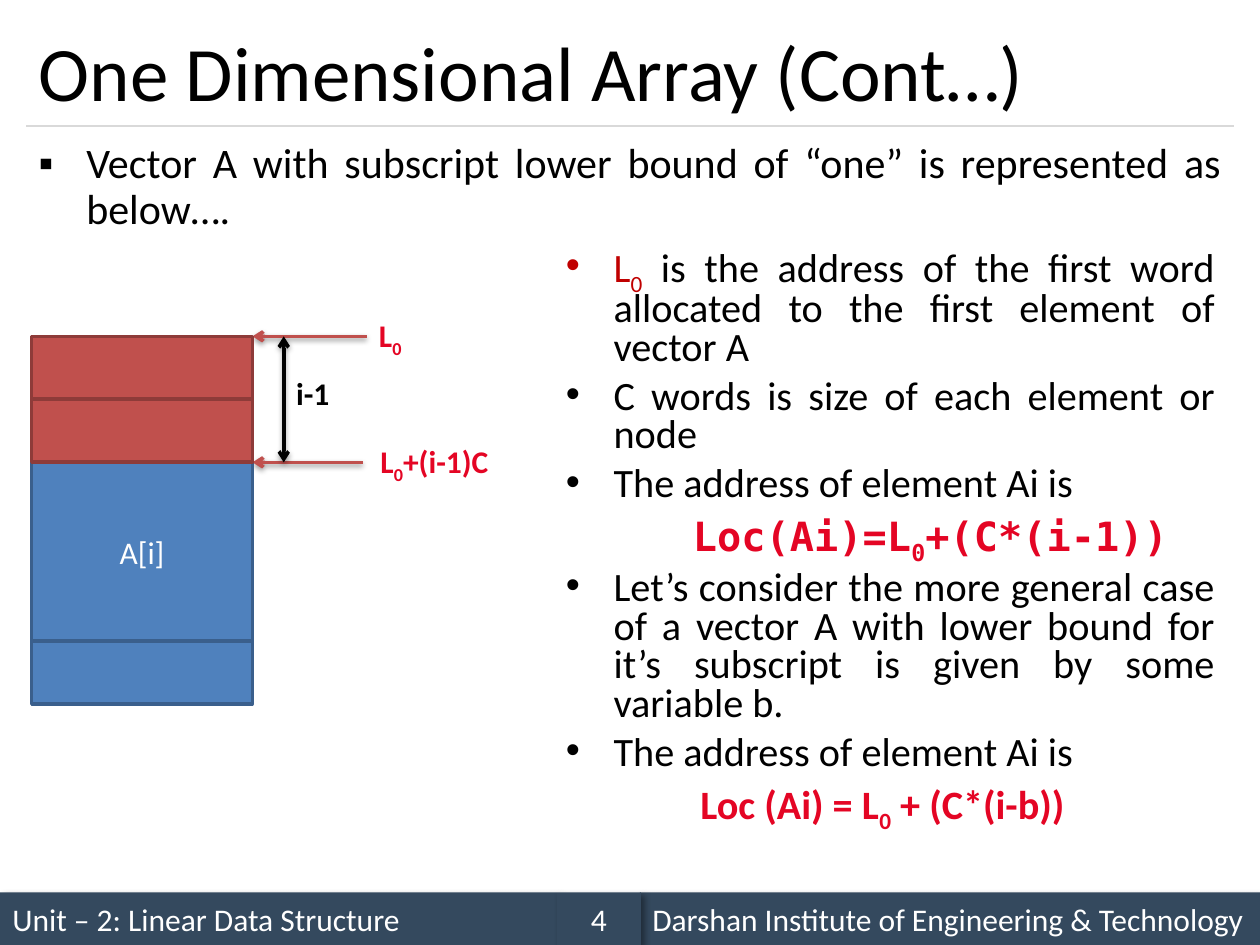
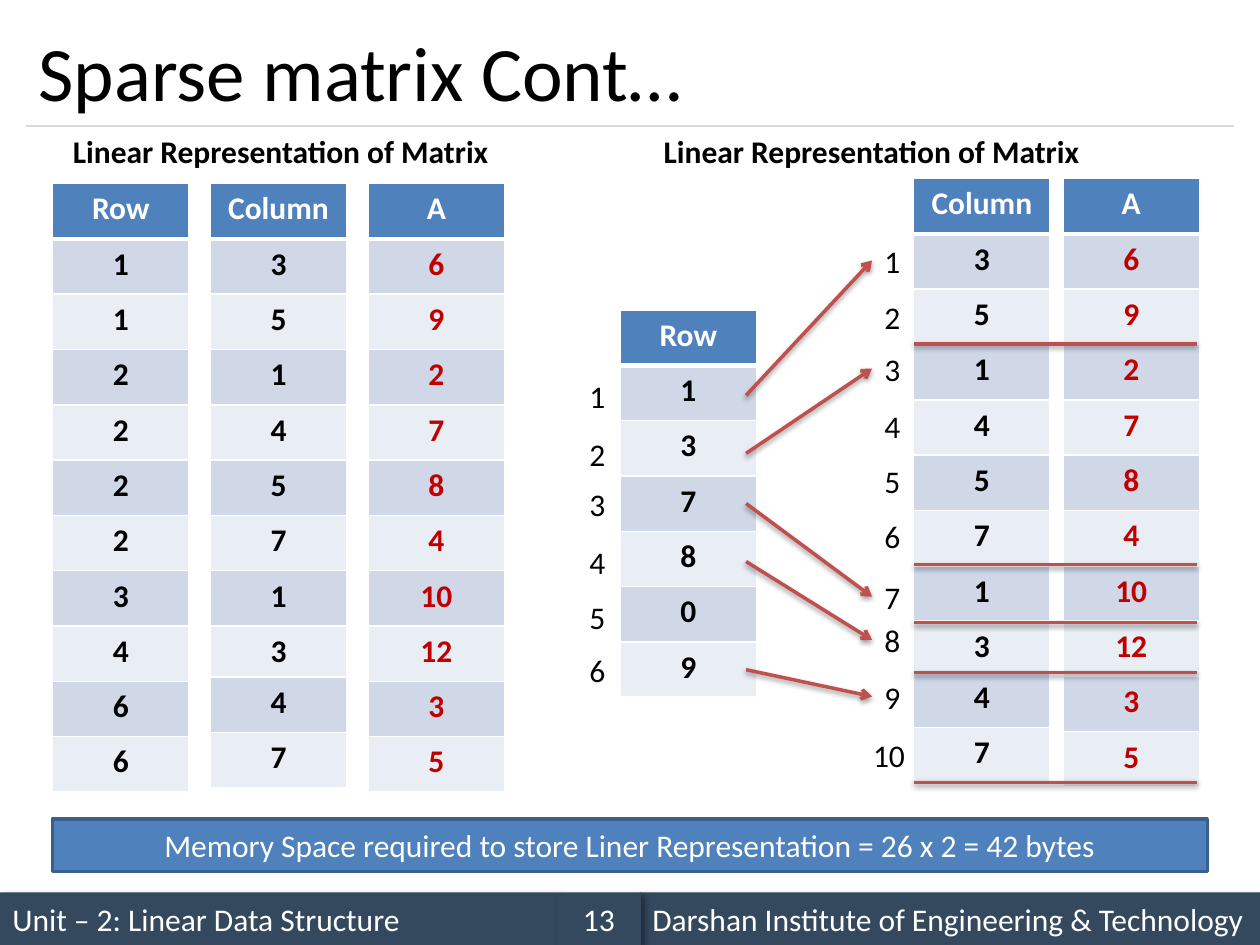
from itertools import accumulate

from lxml.etree import SubElement
from pptx import Presentation
from pptx.dml.color import RGBColor
from pptx.enum.shapes import MSO_CONNECTOR as Connector, MSO_SHAPE as Preset
from pptx.enum.text import MSO_ANCHOR as Anchor, PP_ALIGN as Align
from pptx.oxml.ns import qn
from pptx.util import Cm, Pt

# Content
UNIT = "Unit – 2: Linear Data Structure"
INSTITUTE = "Darshan Institute of Engineering & Technology"

ARRAY_TITLE = "One Dimensional Array (Cont…)"
ARRAY_INTRO = "Vector A with subscript lower bound of “one” is represented as below…."
FORMULA = dict(bullet=None, hang=0, color="formula", bold=True)
# An underscore makes the next character a subscript
ARRAY_NOTES = [
    (" is the address of the first word allocated to the first element of vector A",
     dict(lead="L_0", lead_color="dark red")),
    ("C words is size of each element or node", {}),
    ("The address of element Ai is", {}),
    ("Loc(Ai)=L_0+(C*(i-1))", dict(FORMULA, left=3.56, font="DejaVu Sans Mono")),
    ("Let’s consider the more general case of a vector A with lower bound for "
     "it’s subscript is given by some variable b.", {}),
    ("The address of element Ai is", {}),
    ("Loc (Ai) = L_0 + (C*(i-b))", dict(FORMULA, left=3.71)),
]
MEMORY_BLOCKS = [  # text, height, fill, outline
    ("", 1.27, "red", "red edge"),
    ("", 1.27, "red", "red edge"),
    ("A[i]", 3.6, "blue", "blue edge"),
    ("", 1.27, "blue", "blue edge"),
]

SPARSE_TITLE = "Sparse matrix Cont…"
SPARSE_HEADING = "Linear Representation of Matrix"
MEMORY_NOTE = "Memory Space required to store Liner Representation = 26 x 2 = 42 bytes"
ENTRIES = [  # row, column, value
    (1, 3, 6), (1, 5, 9), (2, 1, 2), (2, 4, 7), (2, 5, 8),
    (2, 7, 4), (3, 1, 10), (4, 3, 12), (6, 4, 3), (6, 7, 5),
]
ROW_STARTS = [1, 3, 7, 8, 0, 9]  # first entry of each row, 0 for an empty row
ROW_LABEL_TOPS = [7.47, 8.64, 9.65, 10.82, 11.94, 13]
ENTRY_LABEL_TOPS = [4.75, 5.89, 6.93, 8.08, 9.19, 10.29, 11.53, 12.4, 13.54, 14.71]
ROW_END_LINES = [6.93, 11.38, 12.55, 13.56, 15.77]

# Look
COLORS = {
    "black": "000000", "white": "FFFFFF", "band": "34495E", "rule": "D9D9D9",
    "blue": "4F81BD", "blue edge": "3A5F8C", "red": "C0504D", "red edge": "8E3B39",
    "dark red": "C00000", "formula": "E40524",
    "odd row": "D0D8E8", "even row": "E9EDF4",
}
TEXT = dict(size=18, color="black", bold=False, font="Calibri", align=Align.LEFT,
            spacing=1, before=0, bullet=None, left=0, hang=0,
            lead="", lead_color="black")
BAND_SHADOW = dict(alpha=40, blur=4, distance=3, angle=45)
LINE_SHADOW = dict(alpha=38, blur=3.1, distance=1.6, angle=90)
TABLE_WIDTH = 2.75
ROW_HEIGHT = 12.27 / 11
SHORT_ROW = 1.03


def rgb(name):
    return RGBColor.from_string(COLORS[name])


def add_runs(paragraph, text, color, style):
    """Add text as runs, lowering the character after each underscore."""
    plain, *lowered = text.split("_")
    pieces = [(plain, False)]
    for piece in lowered:
        pieces += [(piece[0], True), (piece[1:], False)]
    for piece, is_subscript in pieces:
        if not piece:
            continue
        run = paragraph.add_run()
        run.text = piece
        run.font.size = Pt(style["size"])
        run.font.name = style["font"]
        run.font.bold = style["bold"]
        run.font.color.rgb = rgb(color)
        if is_subscript:
            run._r.get_or_add_rPr().set("baseline", "-25000")


def write(frame, text, **text_format):
    """Write one string, or a list of (string, own format) paragraphs."""
    paragraphs = [(text, {})] if isinstance(text, str) else text
    for index, (content, own_format) in enumerate(paragraphs):
        style = {**TEXT, **text_format, **own_format}
        paragraph = frame.paragraphs[0] if index == 0 else frame.add_paragraph()
        properties = paragraph._p.get_or_add_pPr()
        properties.set("marL", str(Cm(style["left"])))
        properties.set("indent", str(-Cm(style["hang"])))
        if style["bullet"]:
            SubElement(properties, qn("a:buFont"), typeface="Arial")
            SubElement(properties, qn("a:buChar"), char=style["bullet"])
        else:
            SubElement(properties, qn("a:buNone"))
        paragraph.alignment = style["align"]
        paragraph.line_spacing = style["spacing"]
        paragraph.space_before = Pt(style["before"] if index else 0)
        add_runs(paragraph, style["lead"], style["lead_color"], style)
        add_runs(paragraph, content, style["color"], style)


def add_text(slide, box, text, anchor=Anchor.TOP, **text_format):
    frame = slide.shapes.add_textbox(*map(Cm, box)).text_frame
    frame.word_wrap = True
    frame.vertical_anchor = anchor
    write(frame, text, **text_format)


def set_shadow(shape, shadow):
    effects = SubElement(shape._element.spPr, qn("a:effectLst"))
    if shadow:
        outer = SubElement(effects, qn("a:outerShdw"),
                           blurRad=str(Pt(shadow["blur"])),
                           dist=str(Pt(shadow["distance"])),
                           dir=str(shadow["angle"] * 60000),
                           algn="tl", rotWithShape="0")
        color = SubElement(outer, qn("a:srgbClr"), val=COLORS["black"])
        SubElement(color, qn("a:alpha"), val=str(shadow["alpha"] * 1000))


def add_box(slide, box, fill, edge=None, text="", shadow=None, align=Align.CENTER):
    shape = slide.shapes.add_shape(Preset.RECTANGLE, *map(Cm, box))
    shape.fill.solid()
    shape.fill.fore_color.rgb = rgb(fill)
    if edge:
        shape.line.color.rgb = rgb(edge)
        shape.line.width = Pt(2)
    else:
        shape.line.fill.background()
    set_shadow(shape, shadow)
    shape.text_frame.word_wrap = True
    shape.text_frame.vertical_anchor = Anchor.MIDDLE
    if text:
        write(shape.text_frame, text, color="white", align=align)


def add_line(slide, start, end, color="red", width=2, ends=(), shadow=LINE_SHADOW):
    """Draw a line; ends lists the arrowheads, headEnd before tailEnd."""
    line = slide.shapes.add_connector(Connector.STRAIGHT, *map(Cm, (*start, *end)))
    line.line.color.rgb = rgb(color)
    line.line.width = Pt(width)
    for end_name in ends:
        SubElement(line._element.spPr.find(qn("a:ln")), qn(f"a:{end_name}"), type="arrow")
    set_shadow(line, shadow)


def add_column(slide, left, top, heading, values, color="black", short_row=None):
    """Add a one-column table with a header and banded rows."""
    texts = [heading, *map(str, values)]
    heights = [SHORT_ROW if index == short_row else ROW_HEIGHT
               for index in range(len(texts))]
    table = slide.shapes.add_table(
        len(texts), 1, *map(Cm, (left, top, TABLE_WIDTH, sum(heights)))).table
    for index, (text, height) in enumerate(zip(texts, heights)):
        table.rows[index].height = Cm(height)
        cell = table.cell(index, 0)
        thick_side = {0: "lnB", 1: "lnT"}.get(index)
        properties = cell._tc.get_or_add_tcPr()
        for side in ("lnL", "lnR", "lnT", "lnB"):
            border = SubElement(properties, qn(f"a:{side}"),
                                w=str(Pt(3 if side == thick_side else 1)))
            SubElement(SubElement(border, qn("a:solidFill")),
                       qn("a:srgbClr"), val=COLORS["white"])
        cell.fill.solid()
        band = "odd row" if index % 2 else "even row"
        cell.fill.fore_color.rgb = rgb(band if index else "blue")
        write(cell.text_frame, text, bold=True, align=Align.CENTER,
              color=color if index else "white")


def add_slide(presentation, title, number):
    """Add a slide with the footer bands, title rule and title."""
    slide = presentation.slides.add_slide(presentation.slide_layouts[6])
    bands = [(0, 11.23, UNIT, Align.LEFT), (12.9, 12.5, INSTITUTE, Align.LEFT),
             (11.23, 1.69, str(number), Align.CENTER)]
    for left, width, text, align in bands:
        add_box(slide, (left, 17.99, width, 1.06), "band", text=text,
                shadow=BAND_SHADOW, align=align)
    add_line(slide, (0.53, 2.54), (24.87, 2.54), "rule", 0.75, shadow=None)
    add_text(slide, (0.53, 0.3, 24.34, 2.24), title, Anchor.MIDDLE, size=44)
    return slide


def build_array_slide(presentation):
    slide = add_slide(presentation, ARRAY_TITLE, 4)
    add_text(slide, (0.53, 2.75, 24.34, 2.1), ARRAY_INTRO, size=24, align=Align.JUSTIFY,
             spacing=0.9, bullet="▪", left=0.96, hang=0.96)
    add_text(slide, (10.16, 4.87, 14.6, 12.5), ARRAY_NOTES, size=23, align=Align.JUSTIFY,
             spacing=0.8, before=6, bullet="•", left=1.96, hang=0.96)

    # Memory blocks with their address arrows
    block_left, block_width, first_top = 0.64, 4.45, 6.78
    block_right = block_left + block_width
    tops = list(accumulate((block[1] for block in MEMORY_BLOCKS), initial=first_top))
    for top, start in ((tops[0], 7.39), (tops[2], 7.31)):
        add_line(slide, (start, top), (block_right, top), ends=["tailEnd"])
    for top, (text, height, fill, edge) in reversed(list(zip(tops, MEMORY_BLOCKS))):
        add_box(slide, (block_left, top, block_width, height), fill, edge, text)
    add_line(slide, (5.72, tops[0]), (5.72, tops[2]), "black", ends=["headEnd", "tailEnd"])

    # Address labels
    add_text(slide, (7.39, 6.25, 1.2, 1.02), "L_0", bold=True, color="formula")
    add_text(slide, (7.42, 8.79, 3.2, 1.02), "L_0+(i-1)C", bold=True, color="formula")
    add_text(slide, (5.72, 7.42, 1.48, 1.02), "i-1", bold=True)


def build_sparse_slide(presentation):
    slide = add_slide(presentation, SPARSE_TITLE, 13)
    rows, columns, values = zip(*ENTRIES)
    for left in (1.22, 13.13):
        add_text(slide, (left, 2.54, 9.2, 1.02), SPARSE_HEADING, bold=True)

    # Full listing on the left, compressed rows on the right
    add_column(slide, 1.06, 3.7, "Row", rows)
    add_column(slide, 4.24, 3.7, "Column", columns, short_row=8)
    add_column(slide, 7.42, 3.7, "A", values, "dark red")
    add_column(slide, 18.42, 3.6, "Column", columns, short_row=8)
    add_column(slide, 21.43, 3.6, "A", values, "dark red")
    add_column(slide, 12.5, 6.25, "Row", ROW_STARTS)

    # Index labels
    for left, tops in ((17.58, ENTRY_LABEL_TOPS), (11.63, ROW_LABEL_TOPS)):
        for number, top in enumerate(tops, 1):
            if number < 10:
                box = (left, top, 0.85, 1.02)
            else:
                box = (left - 0.23, top, 1.27, 1.02)
            add_text(slide, box, str(number))

    # Row ends, and an arrow from each row to its first entry
    for y in ROW_END_LINES:
        add_line(slide, (18.42, y), (24.13, y))
    for top, entry in zip(ROW_LABEL_TOPS, ROW_STARTS):
        if entry:
            target = ENTRY_LABEL_TOPS[entry - 1]
            add_line(slide, (15.04, top + 0.5), (17.58, target + 0.5), ends=["tailEnd"])

    add_box(slide, (1.06, 16.51, 23.28, 1.06), "blue", "blue edge", MEMORY_NOTE)


def main():
    presentation = Presentation()
    presentation.slide_width, presentation.slide_height = Cm(25.4), Cm(19.05)
    build_array_slide(presentation)
    build_sparse_slide(presentation)
    presentation.save("out.pptx")


if __name__ == "__main__":
    main()
